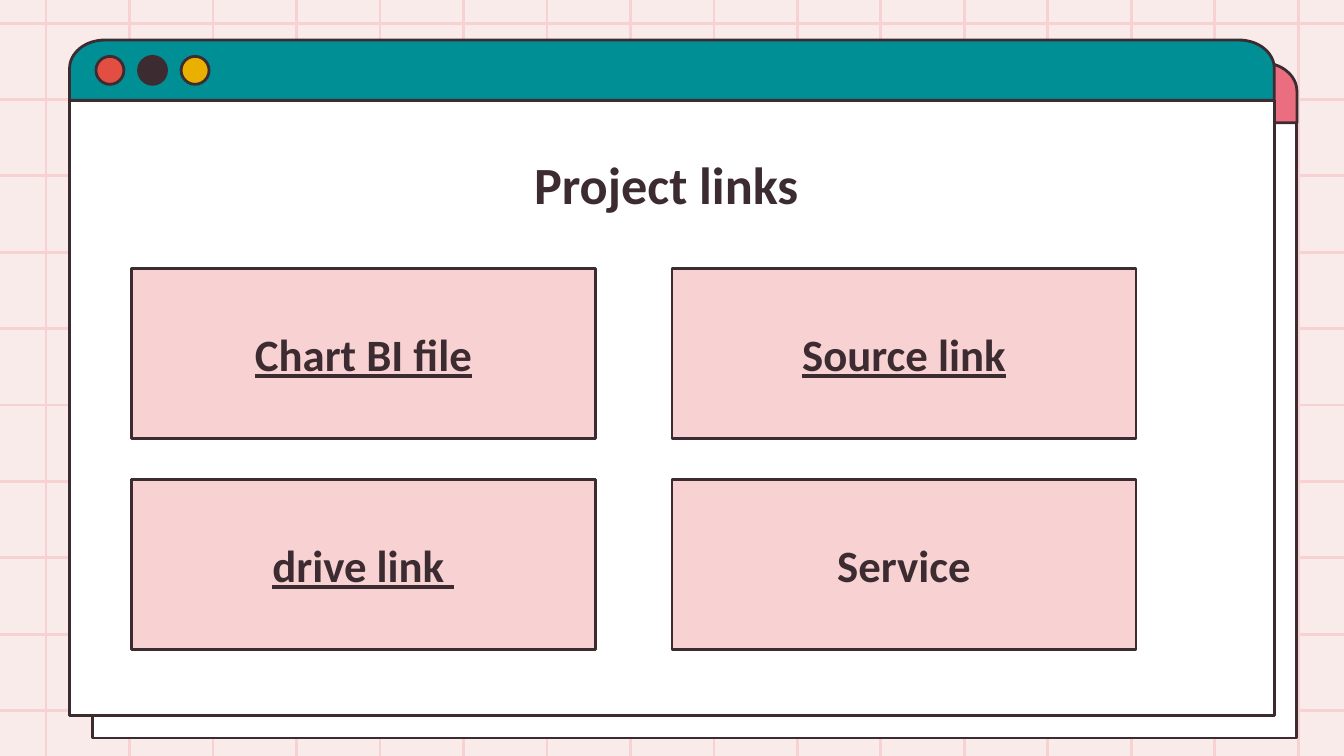
import math

import pptx
import pptx.dml.color
import pptx.enum.shapes
import pptx.enum.text
import pptx.oxml
import pptx.oxml.ns
import pptx.util

Pt = pptx.util.Pt
SHAPE = pptx.enum.shapes.MSO_SHAPE
ANCHOR = pptx.enum.text.MSO_ANCHOR
WIDE, HIGH = 720, 405
INK, PINK, WHITE, PALE = "3C2C31", "F8D2D2", "FFFFFF", "FAEBEB"
TEAL, ROSE = "008F95", "EB6E80"
DOTS = ["E24E42", INK, "E9B000"]


def paint(part, color):
    """Set a fill or a line to one solid colour."""
    fill = getattr(part, "fill", part)
    fill.solid()
    fill.fore_color.rgb = pptx.dml.color.RGBColor.from_string(color)


def style(shape, color):
    shape.shadow.inherit = False
    paint(shape.fill, color)
    paint(shape.line, INK)
    shape.line.width = Pt(1.5)


def write(shape, text, size, anchor, under=False):
    frame = shape.text_frame
    frame.word_wrap = True
    frame.auto_size = pptx.enum.text.MSO_AUTO_SIZE.NONE
    frame.vertical_anchor = anchor
    frame.margin_left = frame.margin_right = Pt(7.2)
    frame.margin_top = frame.margin_bottom = Pt(7.2)
    para = frame.paragraphs[0]
    para.alignment = pptx.enum.text.PP_ALIGN.CENTER
    run = para.add_run()
    run.text = text
    font = run.font
    font.name, font.size = "Calibri", Pt(size)
    font.bold, font.underline = True, under
    paint(font.fill, INK)


def add_box(slide, kind, box, color):
    shape = slide.shapes.add_shape(kind, *map(Pt, box))
    style(shape, color)
    return shape


def add_line(slide, *ends):
    line = slide.shapes.add_connector(
        pptx.enum.shapes.MSO_CONNECTOR.STRAIGHT, *map(Pt, ends))
    paint(line.line, PINK)
    line.line.width = Pt(1.5)
    props = line.element.spPr
    props.append(pptx.oxml.parse_xml(
        f"<a:effectLst {pptx.oxml.ns.nsdecls('a')}/>"))


def add_grid(slide, wide, high):
    for col in range(16):
        x = 24.7 + col * 44.72
        add_line(slide, x, 0, x, high)
    for row in range(10):
        y = 12.4 + row * 40.92
        add_line(slide, 0, y, wide, y)


def add_bar(slide, left, top, wide, high, color):
    """Draw a title bar with its two upper corners rounded."""
    rx, ry, steps = 18.8, 15.2, 16
    turns = [math.pi / 2 * i / steps for i in range(steps + 1)]
    curve = [(rx * (1 - math.cos(t)), ry * (1 - math.sin(t))) for t in turns]
    mirror = [(wide - x, y) for x, y in reversed(curve)]
    points = [(Pt(left + x), Pt(top + y))
              for x, y in [(0, high), *curve, *mirror, (wide, high)]]
    pen = slide.shapes.build_freeform(*points[0])
    pen.add_line_segments(points[1:], close=True)
    style(pen.convert_to_shape(), color)


def add_window(slide, left, top, wide, high, color):
    bar, dot = 32.2, 15
    add_box(slide, SHAPE.RECTANGLE,
            (left, top + bar, wide, high - bar), WHITE)
    add_bar(slide, left, top, wide, bar, color)
    for i, tint in enumerate(DOTS):
        add_box(slide, SHAPE.OVAL,
                (left + 14.1 + i * 22.8, top + 8.7, dot, dot), tint)


def add_title(slide, left, top, wide, high):
    title = slide.shapes.title
    title.left, title.top = Pt(left), Pt(top)
    title.width, title.height = Pt(wide), Pt(high)
    write(title, "Project links ", 28, ANCHOR.TOP)
    # Bring the title in front of the windows
    title.element.getparent().append(title.element)


def add_cards(slide, left, top, wide, high):
    cards = [("Chart BI file", True), ("Source link", True),
             ("drive link ", True), ("Service", False)]
    w, h = 248.6, 91
    for i, (text, under) in enumerate(cards):
        row, col = divmod(i, 2)
        box = (left + col * (wide - w), top + row * (high - h), w, h)
        card = add_box(slide, SHAPE.RECTANGLE, box, PINK)
        write(card, text, 24, ANCHOR.MIDDLE, under)


def main():
    deck = pptx.Presentation()
    deck.slide_width, deck.slide_height = Pt(WIDE), Pt(HIGH)
    slide = deck.slides.add_slide(deck.slide_layouts[5])
    paint(slide.background.fill, PALE)
    add_grid(slide, WIDE, HIGH)
    left, top, shift = 37.3, 21.5, 12.1
    for gap, color in [(shift, ROSE), (0, TEAL)]:
        add_window(slide, left + gap, top + gap, 645.4, 361.8, color)
    add_title(slide, 70.6, 74.2, 578.9, 45.4)
    add_cards(slide, 70.4, 143.8, 538.2, 204.2)
    deck.save("out.pptx")


if __name__ == "__main__":
    main()
